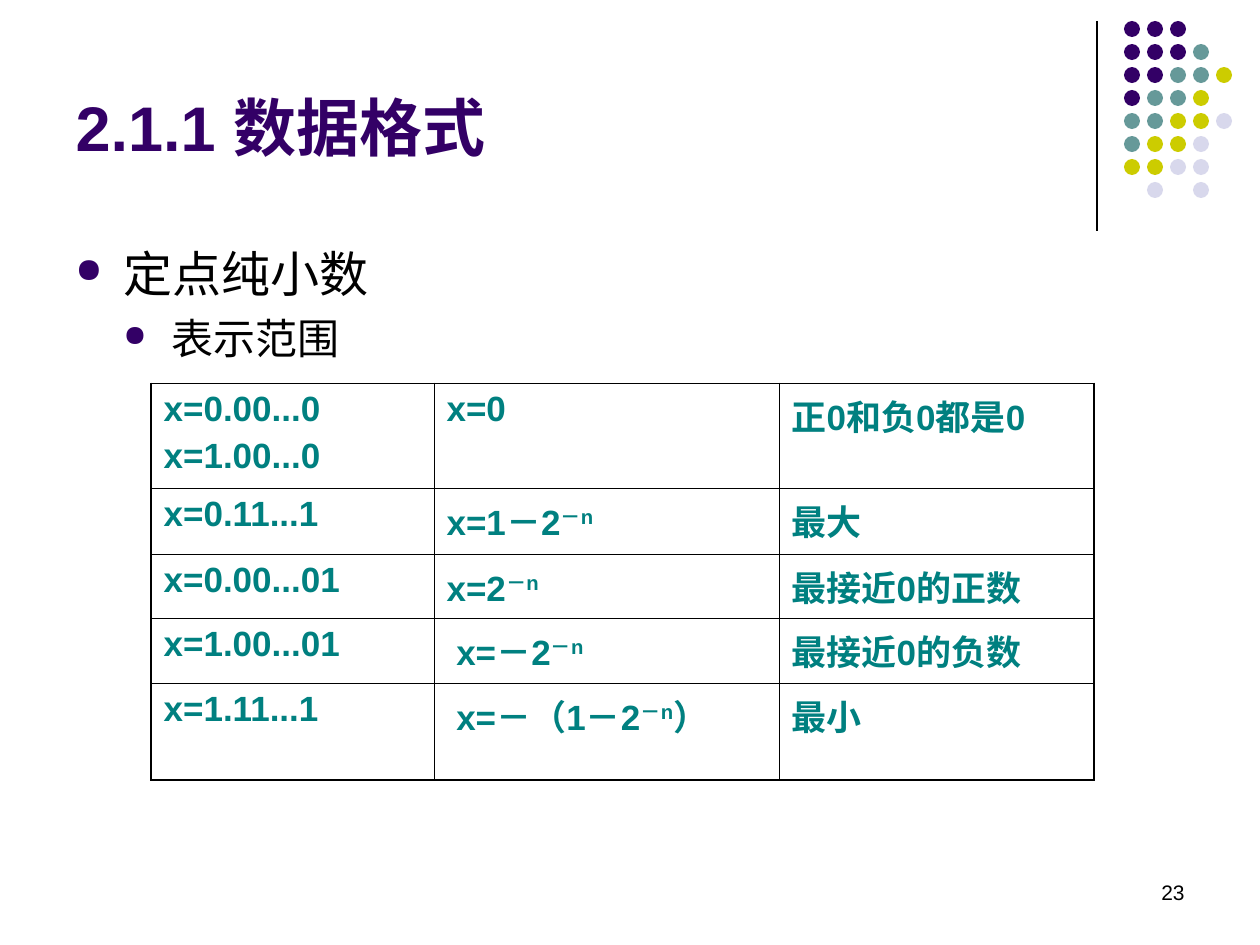
"""Build the slide on the range of fixed-point pure fractions."""
import lxml.etree
import pptx
import pptx.dml.color
import pptx.enum.shapes
import pptx.enum.text
import pptx.oxml
import pptx.oxml.ns
import pptx.util

SCALE = 914400 / 126
PURPLE, TEAL, BLACK = "330066", "008080", "000000"
DOT_COLORS = {"P": PURPLE, "T": "669999", "Y": "CCCC00", "L": "D8D8EC"}
DOT_ROWS = ["PPP", "PPPT", "PPTTY", "PTTY", "TTYYL", "TYYL", "YYLL", " L L"]
COLUMN_WIDTHS = [283, 345, 315]
ROW_HEIGHTS = [105, 66, 64, 65, 96]
CELL_TEXTS = [
    ["x=0.00...0\nx=1.00...0", "x=0", "正0和负0都是0"],
    ["x=0.11...1", "x=1－2^－n", "最大"],
    ["x=0.00...01", "x=2^－n", "最接近0的正数"],
    ["x=1.00...01", " x=－2^－n", "最接近0的负数"],
    ["x=1.11...1", " x=－（1－2^－n^）", "最小"],
]


def px(*lengths):
    return [pptx.util.Emu(round(length * SCALE)) for length in lengths]


def style(font, color, **values):
    font.color.rgb = pptx.dml.color.RGBColor.from_string(color)
    for name, value in {"name": "Arial", **values}.items():
        setattr(font, name, value)


presentation = pptx.Presentation()
presentation.slide_width, presentation.slide_height = px(1260, 945)
slide = presentation.slides.add_slide(presentation.slide_layouts[5])
shapes = slide.shapes

x, top, bottom = px(1097, 21, 231)
divider = shapes.add_connector(pptx.enum.shapes.MSO_CONNECTOR.STRAIGHT, x, top, x, bottom)
divider.line.width = pptx.util.Pt(0.75)
divider.line.color.rgb = pptx.dml.color.RGBColor.from_string(BLACK)
lxml.etree.SubElement(divider.element.spPr, pptx.oxml.ns.qn("a:effectLst"))

for row, letters in enumerate(DOT_ROWS):
    for column, letter in enumerate(letters):
        if letter in DOT_COLORS:
            dot = shapes.add_shape(pptx.enum.shapes.MSO_SHAPE.OVAL,
                                   *px(1124 + 23 * column, 21 + 23 * row, 16, 16))
            dot.shadow.inherit = False
            dot.fill.solid()
            dot.fill.fore_color.rgb = pptx.dml.color.RGBColor.from_string(DOT_COLORS[letter])
            dot.line.fill.background()

title = shapes.title
title.left, title.top, title.width, title.height = px(63, 37, 1031, 179)
title.text_frame.text = "2.1.1 数据格式"
title.text_frame.vertical_anchor = pptx.enum.text.MSO_ANCHOR.MIDDLE
title_paragraph = title.text_frame.paragraphs[0]
title_paragraph.alignment = pptx.enum.text.PP_ALIGN.LEFT
style(title_paragraph.runs[0].font, PURPLE, size=pptx.util.Pt(36), bold=True)

body = shapes.add_textbox(*px(63, 237, 1134, 607)).text_frame
body.word_wrap = True
body.text = "定点纯小数\n表示范围"
for level, (paragraph, size) in enumerate(zip(body.paragraphs, [28, 24])):
    paragraph.level = level
    if level:
        paragraph.space_before = pptx.util.Pt(6)
    margin, indent = px(48 * (level + 1), -48)
    properties = paragraph._p.get_or_add_pPr()
    properties.set("marL", str(margin))
    properties.set("indent", str(indent))
    color = lxml.etree.SubElement(properties, pptx.oxml.ns.qn("a:buClr"))
    lxml.etree.SubElement(color, pptx.oxml.ns.qn("a:srgbClr"), val=PURPLE)
    lxml.etree.SubElement(properties, pptx.oxml.ns.qn("a:buSzPct"), val="70000")
    lxml.etree.SubElement(properties, pptx.oxml.ns.qn("a:buChar"), char="●")
    style(paragraph.runs[0].font, BLACK, size=pptx.util.Pt(size))

number = shapes.add_textbox(*px(903, 861, 294, 63)).text_frame
number.word_wrap = True
number.vertical_anchor = pptx.enum.text.MSO_ANCHOR.MIDDLE
number.text = "23"
number.paragraphs[0].alignment = pptx.enum.text.PP_ALIGN.RIGHT
style(number.paragraphs[0].runs[0].font, BLACK, size=pptx.util.Pt(12))

table = shapes.add_table(5, 3, *px(151, 383, sum(COLUMN_WIDTHS), sum(ROW_HEIGHTS))).table
table.first_row = table.horz_banding = False
for column, width in zip(table.columns, px(*COLUMN_WIDTHS)):
    column.width = width
for row, height in zip(table.rows, px(*ROW_HEIGHTS)):
    row.height = height

for row, texts in enumerate(CELL_TEXTS):
    for column, text in enumerate(texts):
        cell = table.cell(row, column)
        properties = cell._tc.get_or_add_tcPr()
        outer = {"lnL": column == 0, "lnR": column == 2, "lnT": False, "lnB": row == 4}
        for side, is_outer in outer.items():
            border = lxml.etree.SubElement(properties, pptx.oxml.ns.qn("a:" + side),
                                           w=str(pptx.util.Pt(1.08 if is_outer else 0.45)))
            fill = lxml.etree.SubElement(border, pptx.oxml.ns.qn("a:solidFill"))
            lxml.etree.SubElement(fill, pptx.oxml.ns.qn("a:srgbClr"), val=BLACK)
        cell.fill.background()
        for index, line in enumerate(text.split("\n")):
            frame = cell.text_frame
            paragraph = frame.add_paragraph() if index else frame.paragraphs[0]
            if index:
                paragraph.space_before = pptx.util.Pt(5)
            for part, words in enumerate(line.split("^")):
                run = paragraph.add_run()
                run.text = words
                style(run.font, TEAL, size=pptx.util.Pt(20), bold=True)
                if part % 2:
                    run._r.get_or_add_rPr().set("baseline", "30000")

presentation.save("out.pptx")
